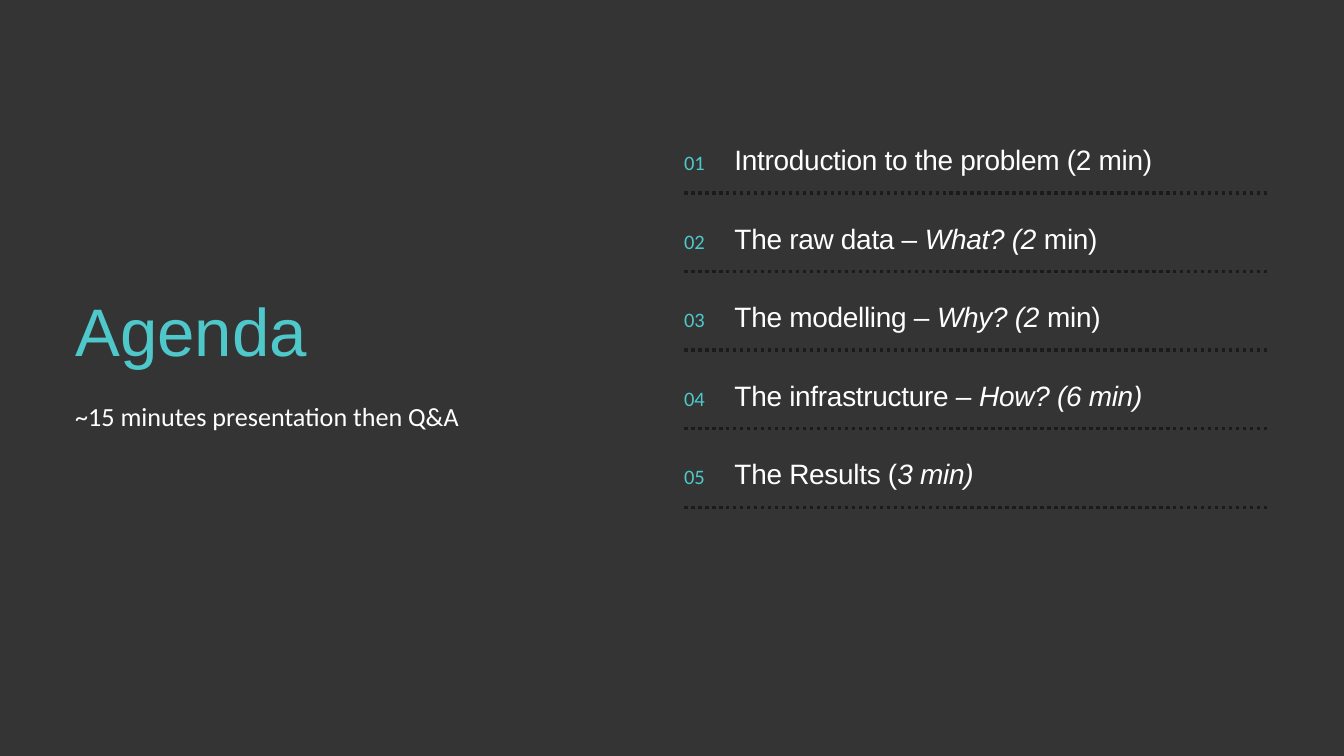
from lxml import etree
from pptx import Presentation
from pptx.dml.color import RGBColor
from pptx.enum.dml import MSO_LINE
from pptx.enum.shapes import MSO_CONNECTOR
from pptx.enum.text import MSO_ANCHOR, MSO_AUTO_SIZE, PP_ALIGN
from pptx.oxml.ns import qn
from pptx.util import Inches, Pt

STRAIGHT = MSO_CONNECTOR.STRAIGHT
DOTTED = MSO_LINE.ROUND_DOT
TOP, LEFT = MSO_ANCHOR.TOP, PP_ALIGN.LEFT
FIT_SHAPE = MSO_AUTO_SIZE.SHAPE_TO_FIT_TEXT

CHARCOAL = RGBColor(0x34, 0x34, 0x34)
TEAL = RGBColor(0x4E, 0xC8, 0xCA)
WHITE = RGBColor(0xFF, 0xFF, 0xFF)
RULE_COLOUR = RGBColor(0x1B, 0x1B, 0x1B)

# Font and line height of each kind of text
TITLE = {"name": "Arial", "size": Pt(72), "colour": TEAL, "leading": Pt(86.4)}
SUBTITLE = {"name": "Calibri", "size": Pt(28), "colour": WHITE, "leading": Pt(39.2)}
TOPIC = {"name": "Arial", "size": Pt(30), "colour": WHITE, "leading": Pt(36), "tracking": -30}
NUMBER = {"name": "Calibri", "size": Pt(22), "colour": TEAL, "leading": Pt(30.8)}

# Agenda grid, in inches
SLIDE_WIDTH, SLIDE_HEIGHT = 20, 11.25
MARGIN = 1.12
NUMBER_LEFT, TOPIC_LEFT, RULE_RIGHT = 10.18, 10.93, 18.88
FIRST_ROW, ROW_PITCH = 2.12, 1.17
NUMBER_DROP, RULE_DROP = 0.05, 0.75

# Each topic is a list of (text, italic) spans
TOPICS = [
    [("Introduction to the problem (2 min)", False)],
    [("The raw data – ", False), ("What? (2", True), (" min)", False)],
    [("The modelling – ", False), ("Why? (2", True), (" min)", False)],
    [("The infrastructure – ", False), ("How? (6 min)", True)],
    [("The Results (", False), ("3 min)", True)],
]


def set_attributes(target, values):
    for name, value in values.items():
        setattr(target, name, value)


def write_text(box, spans, style, left, top, width, height):
    """Place a box and fill it with one paragraph of styled spans."""
    set_attributes(box, {"left": Inches(left), "top": Inches(top),
                         "width": Inches(width), "height": Inches(height)})
    frame = box.text_frame
    set_attributes(frame, {"margin_left": 0, "margin_top": 0, "margin_right": 0,
                           "margin_bottom": 0, "word_wrap": True,
                           "vertical_anchor": TOP, "auto_size": FIT_SHAPE})
    para = frame.paragraphs[0]
    set_attributes(para, {"alignment": LEFT, "line_spacing": style["leading"]})
    for text, italic in spans:
        span = para.add_run()
        span.text = text
        set_attributes(span.font, {"name": style["name"], "size": style["size"],
                                   "italic": italic})
        span.font.color.rgb = style["colour"]
        if "tracking" in style:
            span.font._element.set("spc", str(style["tracking"]))


def add_text(page, *details):
    write_text(page.shapes.add_textbox(0, 0, 0, 0), *details)


def add_dotted_rule(page, top):
    rule = page.shapes.add_connector(STRAIGHT, Inches(NUMBER_LEFT), Inches(top),
                                     Inches(RULE_RIGHT), Inches(top))
    rule.line.color.rgb = RULE_COLOUR
    set_attributes(rule.line, {"width": Pt(3.75), "dash_style": DOTTED})
    etree.SubElement(rule._element.spPr, qn("a:effectLst"))


def add_agenda_row(page, index, spans):
    top = FIRST_ROW + index * ROW_PITCH
    add_text(page, spans, TOPIC, TOPIC_LEFT, top, 7.56, 0.51)
    add_text(page, [(f"{index + 1:02}", False)], NUMBER,
             NUMBER_LEFT, top + NUMBER_DROP, TOPIC_LEFT - NUMBER_LEFT, 0.42)
    add_dotted_rule(page, top + RULE_DROP)


def main():
    deck = Presentation()
    set_attributes(deck, {"slide_width": Inches(SLIDE_WIDTH),
                          "slide_height": Inches(SLIDE_HEIGHT)})
    page = deck.slides.add_slide(deck.slide_layouts.get_by_name("Title Only"))
    page.background.fill.solid()
    page.background.fill.fore_color.rgb = CHARCOAL

    # Heading on the left
    write_text(page.shapes.title, [("Agenda", False)], TITLE, MARGIN, 4.31, 6.82, 1.21)
    add_text(page, [("~15 minutes presentation then Q&A", False)], SUBTITLE,
             MARGIN, 5.88, 6.07, 0.53)

    # Numbered topics on the right
    for index, spans in enumerate(TOPICS):
        add_agenda_row(page, index, spans)

    deck.save("out.pptx")


if __name__ == "__main__":
    main()
